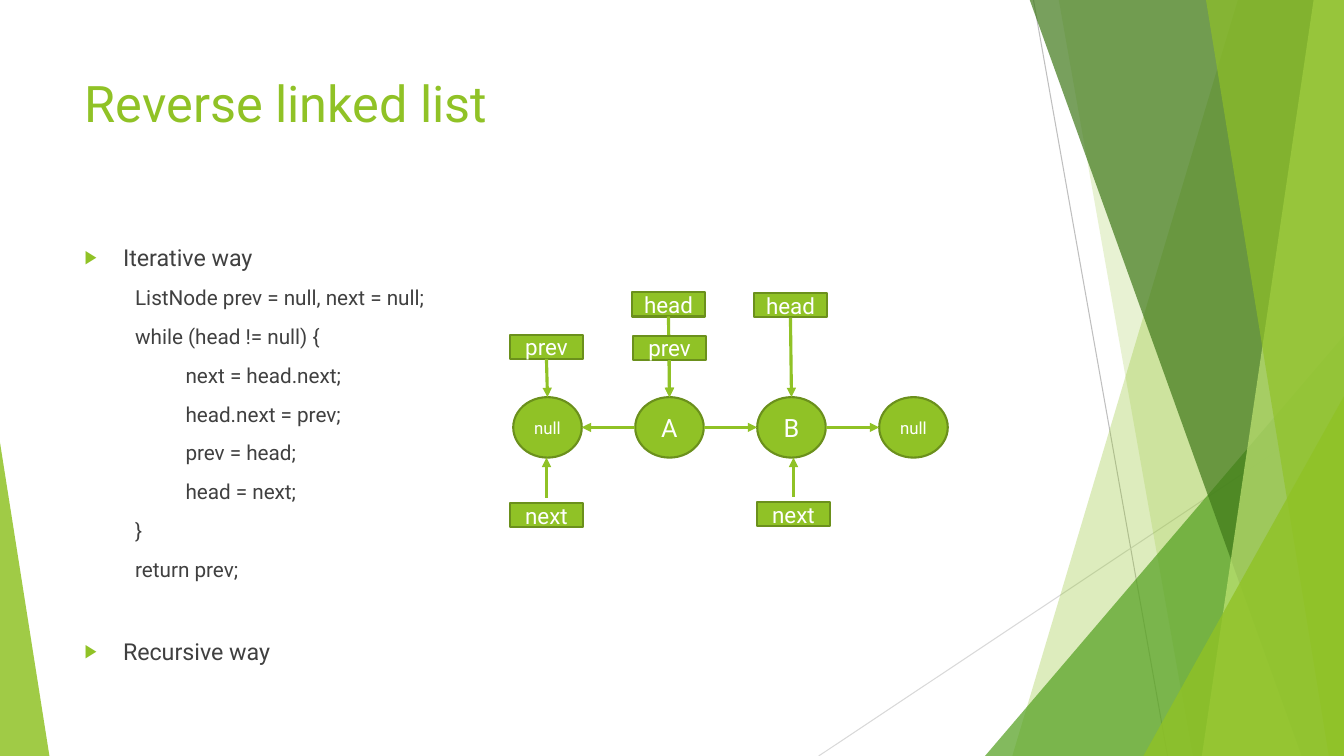
"""Build the slide that shows how a linked list is reversed."""
from typing import NamedTuple

from lxml import etree
from pptx import Presentation
from pptx import util as u
from pptx.dml.color import RGBColor
from pptx.enum import shapes, text
from pptx.oxml import ns

FONT = "Roboto"
GREEN, DARK_GREEN, WHITE, GREY = "90C226", "6B901C", "FFFFFF", "404040"
TOP, RIGHT, BOTTOM = -0.01, 13.33, 7.5
NODE_TOP, NODE_WIDTH, NODE_HEIGHT = 3.94, 0.68, 0.6
NODE_LEFT, NODE_STEP = 5.09, 1.21
LABEL_WIDTH, LABEL_HEIGHT, LABEL_GAP = 0.72, 0.24, 0.05


class Band(NamedTuple):
    points: list[tuple[float, float]]
    color: str
    opacity: int


class Wedge(NamedTuple):
    left: float
    top: float
    width: float
    apex: float
    color: str
    opacity: int


class Label(NamedTuple):
    name: str
    left: float
    top: float
    node: int


class Line(NamedTuple):
    caption: str
    level: int
    margin: float
    size: float
    before: float


def right_band(top_x: float, bottom_x: float, color: str, opacity: int) -> Band:
    return Band([(top_x, TOP), (RIGHT, TOP), (RIGHT, BOTTOM), (bottom_x, BOTTOM)], color, opacity)


HAIRLINES = [((10.25, 0), (11.58, 7.5), "BFBFBF"), ((13.33, 4.03), (8.12, 7.5), "D9D9D9")]
BACKDROP = [
    right_band(12.28, 10.04, GREEN, 30),
    right_band(10.5, 11.83, GREEN, 20),
    Wedge(9.77, 3.33, 3.56, 1, "54A021", 72),
    right_band(10.21, 12.91, "3F7819", 70),
    right_band(13.03, 11.92, "C0E474", 70),
    right_band(11.96, 13.18, GREEN, 65),
    Wedge(11.34, 3.93, 1.99, 1, GREEN, 80),
    Wedge(0, 4.39, 0.49, 0, GREEN, 85),
]
NODES = ["null", "A", "B", "null"]
LABELS = [
    Label("prev", 5.06, 3.32, 0),
    Label("next", 5.06, 4.99, 0),
    Label("head", 6.27, 2.9, 1),
    Label("next", 7.51, 4.98, 2),
    Label("prev", 6.28, 3.33, 1),
    Label("head", 7.48, 2.91, 2),
]
CODE = [
    ("ListNode prev = null, next = null;", 0.5),
    ("while (head != null) {", 0.5),
    ("next = head.next;", 1),
    ("head.next = prev;", 1),
    ("prev = head;", 1),
    ("head = next;", 1),
    ("}", 0.5),
    ("return prev;", 0.5),
]
LINES = [
    Line("Iterative way", 0, 0.38, 16.6, 10),
    *(Line(caption, 1, margin, 14.8, 10) for caption, margin in CODE),
    Line("Recursive way", 0, 0.38, 16.6, 39.5),
]


def rgb(color: str) -> RGBColor:
    return RGBColor.from_string(color)


def place(shape, left: float, top: float, width: float, height: float) -> None:
    shape.left, shape.top = u.Inches(left), u.Inches(top)
    shape.width, shape.height = u.Inches(width), u.Inches(height)


def format_text(para, size: float, color: str) -> None:
    for span in para.runs:
        span.font.name, span.font.size = FONT, u.Pt(size)
        span.font.color.rgb = rgb(color)


def add_child(parent, tag: str, **attributes: str):
    return etree.SubElement(parent, ns.qn(tag), **attributes)


def paint_glass(shape, color: str, opacity: int) -> None:
    shape.shadow.inherit = False
    shape.fill.solid()
    shape.fill.fore_color.rgb = rgb(color)
    fill_color = shape._element.spPr.find(".//" + ns.qn("a:srgbClr"))
    add_child(fill_color, "a:alpha", val=str(opacity * 1000))
    shape.line.fill.background()


def add_line(page, start, end, color: str, width: float, arrow: bool = False):
    line = page.shapes.add_connector(
        shapes.MSO_CONNECTOR.STRAIGHT, *(u.Inches(value) for value in (*start, *end)))
    line.line.color.rgb = rgb(color)
    line.line.width = u.Pt(width)
    if arrow:
        add_child(line.line._get_or_add_ln(), "a:tailEnd", type="triangle")
    add_child(line._element.spPr, "a:effectLst")
    return line


def add_arrow(page, start, end):
    return add_line(page, start, end, GREEN, 2.25, True)


def add_backdrop(page) -> None:
    for start, end, color in HAIRLINES:
        add_line(page, start, end, color, 0.75)
    for item in BACKDROP:
        if isinstance(item, Band):
            first, *rest = [(u.Inches(x), u.Inches(y)) for x, y in item.points]
            builder = page.shapes.build_freeform(*first, scale=1.0)
            builder.add_line_segments(rest, close=True)
            shape = builder.convert_to_shape()
        else:
            shape = page.shapes.add_shape(shapes.MSO_SHAPE.ISOSCELES_TRIANGLE, 0, 0, 0, 0)
            place(shape, item.left, item.top, item.width, BOTTOM - item.top)
            shape.adjustments[0] = item.apex
        paint_glass(shape, item.color, item.opacity)


def add_box(page, kind, caption: str, size: float, left: float, top: float,
            width: float, height: float):
    box = page.shapes.add_shape(kind, 0, 0, 0, 0)
    place(box, left, top, width, height)
    box.shadow.inherit = False
    box.fill.solid()
    box.fill.fore_color.rgb = rgb(GREEN)
    box.line.color.rgb = rgb(DARK_GREEN)
    box.line.width = u.Pt(1.5)
    frame = box.text_frame
    frame.margin_left = frame.margin_right = frame.margin_top = frame.margin_bottom = 0
    frame.vertical_anchor = text.MSO_ANCHOR.MIDDLE
    frame.text = caption
    frame.paragraphs[0].alignment = text.PP_ALIGN.CENTER
    format_text(frame.paragraphs[0], size, WHITE)
    return box


def fill_placeholders(page) -> None:
    title, body = page.shapes.title, page.placeholders[1]
    place(title, 0.74, 0.67, 9.4, 1.44)
    place(body, 0.74, 2.36, 4.35, 4.24)
    for holder in (title, body):
        page.shapes._spTree.append(holder._element)
        holder.text_frame.auto_size = text.MSO_AUTO_SIZE.NONE
        holder.text_frame.vertical_anchor = text.MSO_ANCHOR.TOP
    title.text_frame.text = "Reverse linked list"
    title.text_frame.paragraphs[0].alignment = text.PP_ALIGN.LEFT
    format_text(title.text_frame.paragraphs[0], 36, GREEN)
    body.text_frame.text = "\n".join(line.caption for line in LINES)
    for para, line in zip(body.text_frame.paragraphs, LINES):
        para.level, para.space_before = line.level, u.Pt(line.before)
        format_text(para, line.size, GREY)
        properties = para._p.get_or_add_pPr()
        properties.set("marL", str(u.Inches(line.margin)))
        properties.set("indent", str(0 if line.level else -u.Inches(line.margin)))
        if line.level:
            add_child(properties, "a:buNone")
        else:
            add_child(add_child(properties, "a:buClr"), "a:srgbClr", val=GREEN)
            add_child(properties, "a:buSzPct", val="80000")
            add_child(properties, "a:buChar", char="▶")


def add_diagram(page) -> None:
    lefts = [NODE_LEFT + index * NODE_STEP for index in range(len(NODES))]
    nodes = [
        add_box(page, shapes.MSO_SHAPE.OVAL, name, 12 if name == "null" else 18,
                left, NODE_TOP, NODE_WIDTH, NODE_HEIGHT)
        for name, left in zip(NODES, lefts)]
    middle = NODE_TOP + NODE_HEIGHT / 2
    for source, target in ((1, 0), (1, 2), (2, 3)):
        start, end = lefts[source], lefts[target]
        if source < target:
            start += NODE_WIDTH
        else:
            end += NODE_WIDTH
        add_arrow(page, (start, middle), (end, middle))
    for label in LABELS:
        box = add_box(page, shapes.MSO_SHAPE.RECTANGLE, label.name, 16,
                      label.left, label.top, LABEL_WIDTH, LABEL_HEIGHT)
        center = label.left + LABEL_WIDTH / 2
        if label.top < NODE_TOP:
            arrow = add_arrow(page, (center, label.top + LABEL_HEIGHT), (center, NODE_TOP))
            arrow.begin_connect(box, 2)
            arrow.end_connect(nodes[label.node], 0)
        else:
            add_arrow(page, (center, label.top - LABEL_GAP), (center, NODE_TOP + NODE_HEIGHT))


def main() -> None:
    deck = Presentation()
    deck.slide_width, deck.slide_height = u.Inches(RIGHT), u.Inches(BOTTOM)
    page = deck.slides.add_slide(deck.slide_layouts[1])
    add_backdrop(page)
    fill_placeholders(page)
    add_diagram(page)
    deck.save("out.pptx")


if __name__ == "__main__":
    main()
